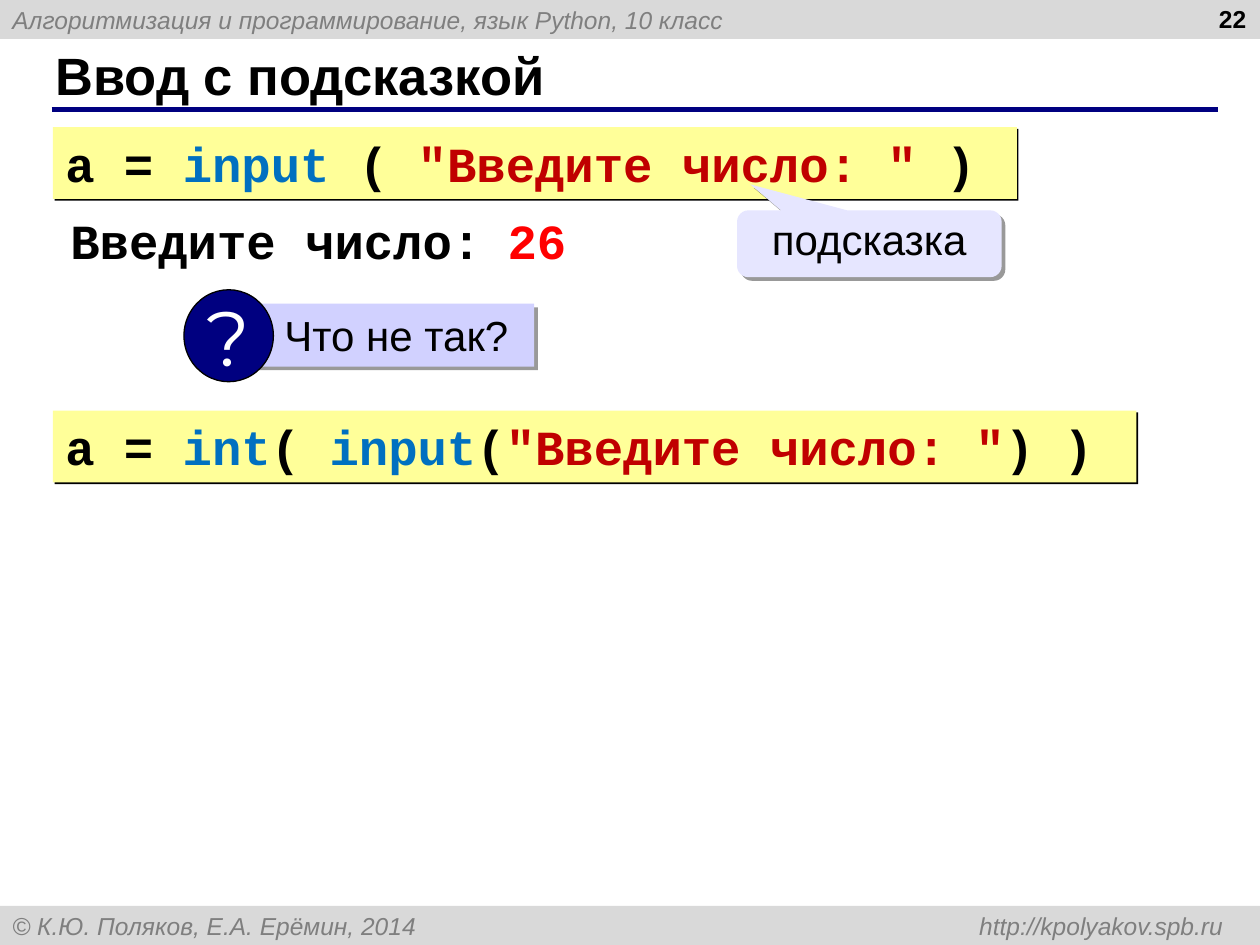
from dataclasses import dataclass
from typing import Optional

from lxml.etree import SubElement
from pptx import Presentation
from pptx.dml.color import RGBColor
from pptx.enum.shapes import MSO_CONNECTOR, MSO_SHAPE
from pptx.enum.text import MSO_ANCHOR, PP_ALIGN
from pptx.oxml.ns import qn
from pptx.util import Inches, Pt

BLACK, GRAY, NAVY = "000000", "7F7F7F", "000080"
BLUE, CRIMSON = "0070C0", "C00000"
PROMPT = '"Введите число: "'


@dataclass
class Font:
    size: float
    name: str = "Arial"
    bold: bool = False
    italic: bool = False


@dataclass
class Run:
    text: str
    color: str = BLACK


@dataclass
class Shadow:
    opacity: int
    distance: float


BAR_FONT = Font(14, italic=True)
CODE_FONT = Font(28, "Courier New", bold=True)
LABEL_FONT = Font(24)
CODE_SHADOW = Shadow(100, 1.4)
SOFT_SHADOW = Shadow(40, 3)


def rgb(color: str) -> RGBColor:
    return RGBColor.from_string(color)


def write(sp, runs: list[Run], font: Font, align=PP_ALIGN.LEFT,
          anchor=MSO_ANCHOR.TOP, wrap: bool = True):
    """Fill the shape's only paragraph and return it."""
    tf = sp.text_frame
    tf.word_wrap = wrap
    tf.vertical_anchor = anchor
    p = tf.paragraphs[0]
    p.alignment = align
    for run in runs:
        r = p.add_run()
        r.text = run.text
        r.font.size = Pt(font.size)
        r.font.name = font.name
        r.font.bold = font.bold
        r.font.italic = font.italic
        r.font.color.rgb = rgb(run.color)
    return p


def add_text(s, left: float, top: float, width: float, height: float,
             run: Run, font: Font, **layout) -> None:
    sp = s.shapes.add_textbox(Inches(left), Inches(top), Inches(width), Inches(height))
    write(sp, [run], font, **layout)


def add_shape(s, kind, left: float, top: float, width: float, height: float,
              fill: str, shadow: Optional[Shadow] = None):
    sp = s.shapes.add_shape(kind, Inches(left), Inches(top), Inches(width), Inches(height))
    sp.fill.solid()
    sp.fill.fore_color.rgb = rgb(fill)
    sp.line.fill.background()
    sp.shadow.inherit = False
    if shadow:
        effects = sp._element.spPr.find(qn("a:effectLst"))
        outer = SubElement(effects, qn("a:outerShdw"), blurRad="0",
                           dist=str(Pt(shadow.distance)), dir="2700000",
                           algn="ctr", rotWithShape="0")
        color = SubElement(outer, qn("a:srgbClr"), val=BLACK)
        SubElement(color, qn("a:alpha"), val=str(shadow.opacity * 1000))
    return sp


def add_bar(s, top: float, text: str):
    sp = add_shape(s, MSO_SHAPE.RECTANGLE, 0, top, 10, 0.31, "D9D9D9")
    return write(sp, [Run(text, GRAY)], BAR_FONT, anchor=MSO_ANCHOR.MIDDLE)


def add_code(s, top: float, width: float, runs: list[Run]) -> None:
    sp = add_shape(s, MSO_SHAPE.RECTANGLE, 0.42, top, width, 0.57, "FFFF99", CODE_SHADOW)
    write(sp, runs, CODE_FONT)


def add_frame(s) -> None:
    """Draw the header and footer bars, title, rule and page number."""
    add_bar(s, 0, "Алгоритмизация и программирование, язык Python, 10 класс")
    footer = add_bar(s, 7.19, "© К.Ю. Поляков, Е.А. Ерёмин, 2014 \thttp://kpolyakov.spb.ru")
    tabs = SubElement(footer._p.get_or_add_pPr(), qn("a:tabLst"))
    SubElement(tabs, qn("a:tab"), pos=str(Inches(9.61)), algn="r")

    rule = s.shapes.add_connector(MSO_CONNECTOR.STRAIGHT, Inches(0.41), Inches(0.87),
                                  Inches(9.67), Inches(0.87))
    rule.line.color.rgb = rgb(NAVY)
    rule.line.width = Pt(3)
    SubElement(rule._element.spPr, qn("a:effectLst"))

    add_text(s, 0.34, 0.33, 9.16, 0.52, Run("Ввод с подсказкой"),
             Font(30, bold=True), anchor=MSO_ANCHOR.MIDDLE)
    add_text(s, 7.66, -0.02, 2.33, 0.52, Run("22"), Font(14, bold=True),
             align=PP_ALIGN.RIGHT)


def add_callout(s) -> None:
    sp = add_shape(s, MSO_SHAPE.ROUNDED_RECTANGULAR_CALLOUT, 5.85, 1.67, 2.1, 0.53,
                   "E6E6FF", SOFT_SHADOW)
    for i, value in enumerate((-0.45, -0.89, 0.17)):
        sp.adjustments[i] = value
    p = write(sp, [Run("подсказка")], LABEL_FONT, PP_ALIGN.CENTER, MSO_ANCHOR.MIDDLE)
    p.line_spacing = 0.8


def add_question(s) -> None:
    label = add_shape(s, MSO_SHAPE.RECTANGLE, 1.97, 2.41, 2.27, 0.5, "D1D1FF", SOFT_SHADOW)
    p = write(label, [Run("Что не так?")], LABEL_FONT)
    pPr = p._p.get_or_add_pPr()
    pPr.set("marL", str(Inches(0.58)))
    pPr.set("indent", str(Inches(-0.39)))

    badge = add_shape(s, MSO_SHAPE.OVAL, 1.46, 2.3, 0.71, 0.73, NAVY)
    badge.line.color.rgb = rgb(BLACK)
    badge.line.width = Pt(0.75)
    write(badge, [Run("?", "FFFFFF")], Font(44, "Montserrat"),
          PP_ALIGN.CENTER, MSO_ANCHOR.MIDDLE, wrap=False)


def main() -> None:
    prs = Presentation()
    prs.slide_width, prs.slide_height = Inches(10), Inches(7.5)
    s = prs.slides.add_slide(prs.slide_layouts[6])

    add_frame(s)
    add_code(s, 1.01, 7.65, [Run("a = "), Run("input", BLUE), Run(" ( "),
                             Run(PROMPT, CRIMSON), Run(" )")])
    add_callout(s)
    add_text(s, 0.46, 1.62, 3.48, 0.57, Run("Введите число:"), CODE_FONT)
    add_text(s, 3.93, 1.62, 0.67, 0.57, Run("26", "FF0000"), CODE_FONT)
    add_question(s)
    add_code(s, 3.26, 8.6, [Run("a = "), Run("int", BLUE), Run("( "), Run("input", BLUE),
                            Run("("), Run(PROMPT, CRIMSON), Run(") )")])
    prs.save("out.pptx")


if __name__ == "__main__":
    main()
